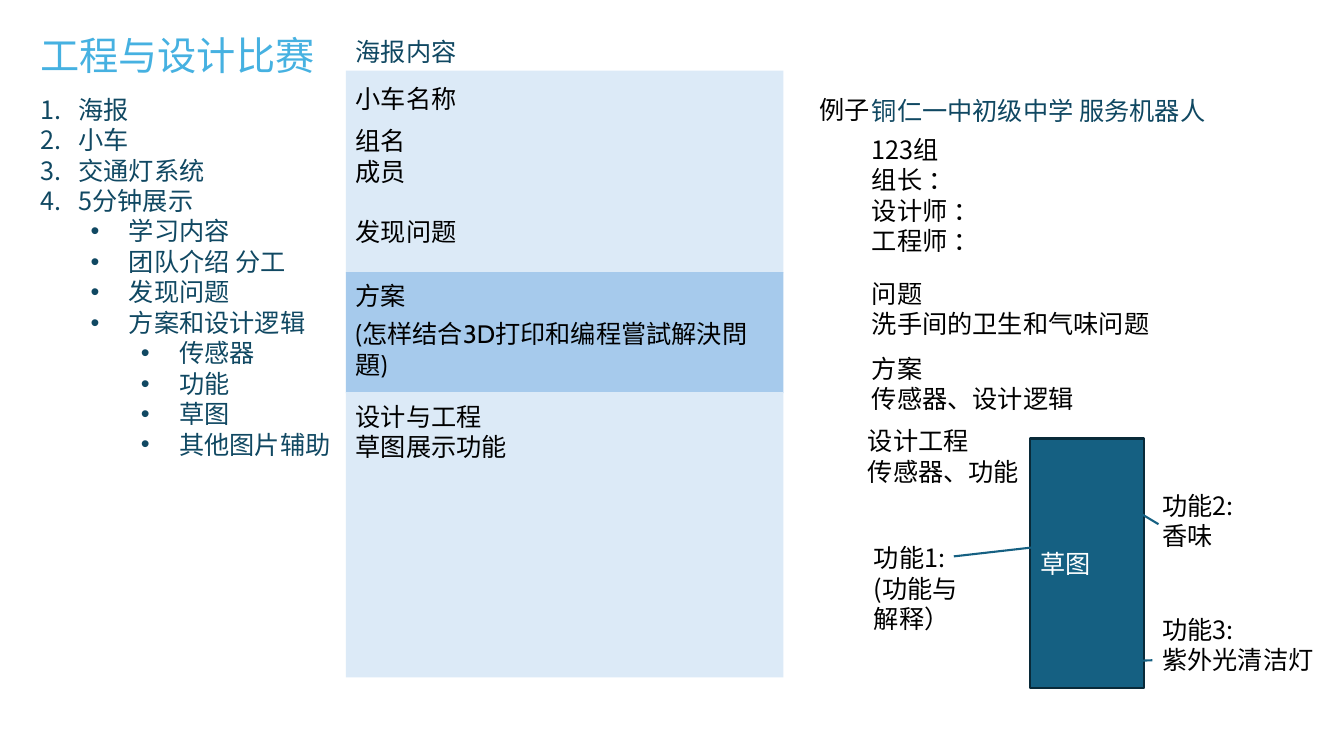
import pptx
import pptx.util
import pptx.dml.color
import pptx.enum.shapes
import pptx.enum.text
import pptx.oxml
import pptx.oxml.ns
from pptx.util import Inches, Pt

SANS = "Noto Sans CJK SC"
BLACK, NAVY, TEAL, PALE = "000000", "104862", "156082", "DCEAF7"

# (left, top, width, text, colour, font)
HEADS = [
    (3.43, 0.31, 4.2, "海报内容", NAVY, SANS),
    (8.03, 0.88, 0.75, "例子", BLACK, "Cabin"),
    (8.55, 0.89, 3.6, "铜仁一中初级中学 服务机器人", NAVY, SANS),
]
POSTER = [
    (0.78, "小车名称"),
    (1.19, "组名"),
    (1.5, "成员"),
    (2.09, "发现问题"),
    (2.73, "方案"),
    (3.11, "(怎样结合3D打印和编程嘗試解決問題)"),
    (3.93, "设计与工程\n草图展示功能"),
]
SAMPLE = [
    (8.55, 1.28, 1.5, "123组\v组长 ：\v设计师 ：\v工程师 ："),
    (8.55, 2.71, 3.1, "问题\v洗手间的卫生和气味问题"),
    (8.55, 3.45, 2.4, "方案\n传感器、设计逻辑"),
    (8.51, 4.17, 1.8, "设计工程\n传感器、功能"),
    (8.57, 5.33, 1.13, "功能1:\v(功能与解释）"),
    (11.43, 4.81, 1.09, "功能2:\n香味"),
    (11.43, 6.04, 1.77, "功能3:\n紫外光清洁灯"),
]
BANDS = [(0.7, 2.01, PALE), (2.7, 1.2, "A6CAEC"), (3.89, 2.83, PALE)]
LINKS = [
    (10.34, 5.42, 9.46, 5.52),
    (11.18, 6.56, 11.43, 6.55),
    (11.24, 5.05, 11.49, 5.2),
]
TASKS = [
    (0, ["海报", "小车", "交通灯系统", "5分钟展示"]),
    (1, ["学习内容", "团队介绍 分工", "发现问题", "方案和设计逻辑"]),
    (2, ["传感器", "功能", "草图", "其他图片辅助"]),
]


def rgb(code):
    return pptx.dml.color.RGBColor.from_string(code)


def add_xml(parent, tag, **attrs):
    node = pptx.oxml.parse_xml(
        f'<a:{tag} xmlns:a="http://schemas.openxmlformats.org/drawingml/2006/main"/>')
    for key, value in attrs.items():
        node.set(key, value)
    parent.append(node)


def style(frame, color, font, size=18, east=SANS):
    """Format every run, with line pitch tied to the text size."""
    for para in frame.paragraphs:
        para.line_spacing = Pt(size * 1.21)
        for run in para.runs:
            run.font.size = Pt(size)
            run.font.name = font
            run.font.color.rgb = rgb(color)
            add_xml(run.font._element, "ea", typeface=east)


def add_text(slide, left, top, width, text, color=BLACK, font=SANS):
    lines = 1 + text.count("\n") + text.count("\v")
    box = slide.shapes.add_textbox(Inches(left), Inches(top), Inches(width),
                                   Inches(0.1 + 0.3 * lines))
    frame = box.text_frame
    frame.word_wrap = True
    frame.text = text
    style(frame, color, font)
    return frame


def add_rect(slide, left, top, width, height, fill, edge=None):
    rect = slide.shapes.add_shape(
        pptx.enum.shapes.MSO_SHAPE.RECTANGLE,
        Inches(left), Inches(top), Inches(width), Inches(height))
    rect.shadow.inherit = False
    rect.fill.solid()
    rect.fill.fore_color.rgb = rgb(fill)
    if edge:
        rect.line.color.rgb = rgb(edge)
        rect.line.width = Pt(1.5)
    else:
        rect.line.fill.background()
    return rect


def add_link(slide, *ends):
    link = slide.shapes.add_connector(
        pptx.enum.shapes.MSO_CONNECTOR.STRAIGHT, *map(Inches, ends))
    link.line.color.rgb = rgb(TEAL)
    link.line.width = Pt(1.5)
    add_xml(link._element.spPr, "effectLst")


def add_title(slide, text):
    title = slide.shapes.title
    title.left, title.top = Inches(0.3), Inches(0.26)
    title.width, title.height = Inches(6.67), Inches(0.57)
    frame = title.text_frame
    frame.text = text
    frame.word_wrap = True
    frame.vertical_anchor = pptx.enum.text.MSO_ANCHOR.TOP
    frame.paragraphs[0].alignment = pptx.enum.text.PP_ALIGN.LEFT
    style(frame, "46B1E1", "Noto Sans CJK JP", 28, "Noto Sans CJK JP")


def add_tasks(slide):
    """Numbered list with two bulleted levels below it."""
    items = [(level, text) for level, texts in TASKS for text in texts]
    frame = add_text(slide, 0.3, 0.88, 3.13,
                     "\n".join(text for _, text in items), NAVY)
    for para, (level, _) in zip(frame.paragraphs, items):
        para.level = level
        props = para._p.get_or_add_pPr()
        props.set("marL", str(Inches(0.38 + 0.5 * level)))
        props.set("indent", str(-Inches(0.38)))
        if level:
            add_xml(props, "buFont", typeface="Arial")
            add_xml(props, "buChar", char="•")
        else:
            add_xml(props, "buAutoNum", type="arabicPeriod")


def main():
    deck = pptx.Presentation()
    deck.slide_width, deck.slide_height = Inches(13.33), Inches(7.5)
    slide = deck.slides.add_slide(deck.slide_layouts[5])
    add_title(slide, "工程与设计比赛")

    for top, height, fill in BANDS:
        add_rect(slide, 3.43, top, 4.34, height, fill)
    for top, text in POSTER:
        add_text(slide, 3.43, top, 4.34, text, font="Cabin")

    sketch = add_rect(slide, 10.22, 4.35, 1.13, 2.48, TEAL, "092A39")
    sketch.text_frame.text = "草图"
    style(sketch.text_frame, "FFFFFF", "Cabin")
    for ends in LINKS:
        add_link(slide, *ends)
    for spec_row in HEADS + SAMPLE:
        add_text(slide, *spec_row)
    add_tasks(slide)
    deck.save("out.pptx")


if __name__ == "__main__":
    main()
